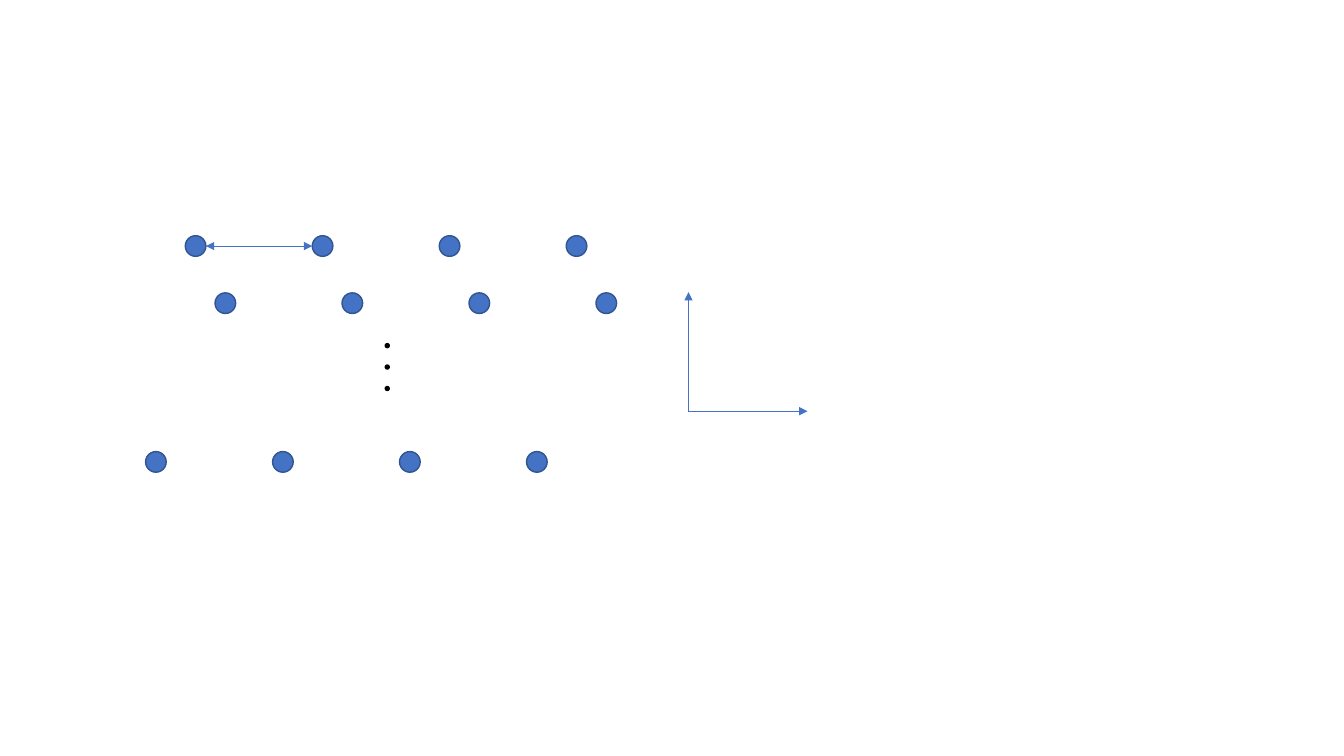
from dataclasses import dataclass
from lxml.etree import SubElement
from pptx import Presentation
from pptx.dml.color import RGBColor as Rgb
from pptx.enum.shapes import MSO_CONNECTOR as Link, MSO_SHAPE as Form
from pptx.oxml.ns import qn
from pptx.util import Cm, Pt

# Lengths in cm; points are centres (x, y)
ROWS = [(4.93, 6.2), (5.68, 7.64), (3.93, 11.64)]
COUNT, PITCH, NODE = 4, 3.2, 0.52
DOTS, DOT_GAP, DOT = (9.76, 8.71), 0.54, 0.1
DOT_COUNT = 3
ORIGIN, AXIS = (17.35, 10.36), 3


@dataclass(frozen=True)
class Theme:
    blue: Rgb = Rgb(0x44, 0x72, 0xC4)
    edge: Rgb = Rgb(0x32, 0x54, 0x91)
    black: Rgb = Rgb(0, 0, 0)
    rim: Pt = Pt(1)
    thin: Pt = Pt(0.5)


THEME = Theme()


def disc(slide, x, y, size, fill, edge):
    """Draw a circle centred on (x, y)."""
    shape = slide.shapes.add_shape(
        Form.OVAL, Cm(x - size / 2), Cm(y - size / 2), Cm(size), Cm(size))
    shape.shadow.inherit = False
    shape.fill.solid()
    shape.fill.fore_color.rgb = fill
    shape.line.color.rgb = edge
    shape.line.width = THEME.rim


def arrow(slide, start, end, both=False):
    """Draw a line with a triangle at its end, or at both ends."""
    line = slide.shapes.add_connector(
        Link.STRAIGHT, *(Cm(v) for v in (*start, *end)))
    line.line.color.rgb = THEME.blue
    line.line.width = THEME.thin
    props = line.line._get_or_add_ln()
    for tag in ("a:headEnd", "a:tailEnd") if both else ("a:tailEnd",):
        SubElement(props, qn(tag), type="triangle")
    SubElement(line._element.spPr, qn("a:effectLst"))


def main():
    deck = Presentation()
    deck.slide_width, deck.slide_height = Cm(33.87), Cm(19.05)
    slide = deck.slides.add_slide(deck.slide_layouts[6])

    for left, y in ROWS:
        for i in range(COUNT):
            disc(slide, left + i * PITCH, y, NODE, THEME.blue, THEME.edge)

    x, y = DOTS
    for i in range(DOT_COUNT):
        disc(slide, x, y + i * DOT_GAP, DOT, THEME.black, THEME.black)

    x, y = ROWS[0]
    arrow(slide, (x + NODE / 2, y), (x + PITCH - NODE / 2, y), both=True)

    x, y = ORIGIN
    for tip in ((x, y - AXIS), (x + AXIS, y)):
        arrow(slide, ORIGIN, tip)

    deck.save("out.pptx")


if __name__ == "__main__":
    main()
